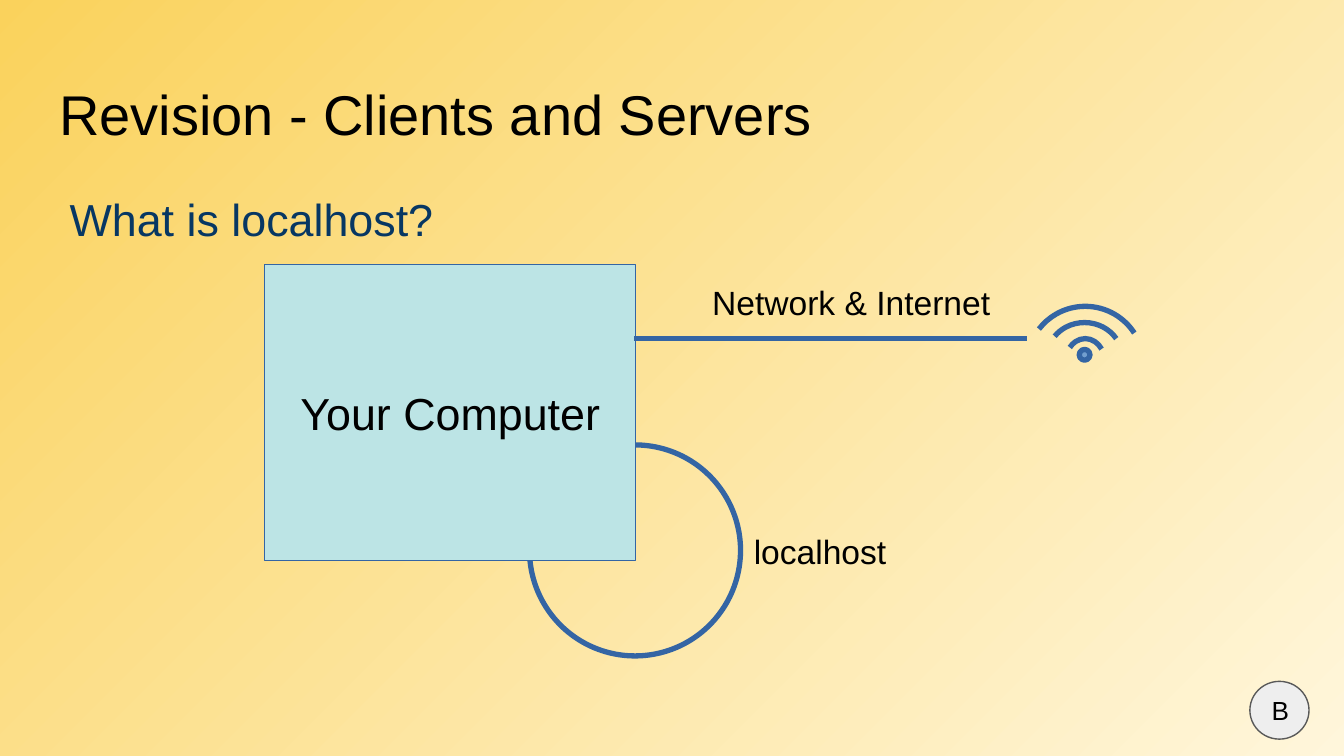
from lxml import etree
from pptx import Presentation
from pptx.dml.color import RGBColor
from pptx.enum.shapes import MSO_CONNECTOR, MSO_SHAPE
from pptx.enum.text import MSO_ANCHOR, PP_ALIGN
from pptx.oxml.ns import qn
from pptx.util import Inches, Pt

ARC, OVAL, RECT = MSO_SHAPE.ARC, MSO_SHAPE.OVAL, MSO_SHAPE.RECTANGLE
STRAIGHT = MSO_CONNECTOR.STRAIGHT
TOP, MIDDLE = MSO_ANCHOR.TOP, MSO_ANCHOR.MIDDLE
LEFT, CENTER = PP_ALIGN.LEFT, PP_ALIGN.CENTER

FONT = "Arial"
BLUE, NAVY, BLACK = "3465A4", "073763", "000000"
THICK, THIN = 2.83, 0.75


def color(code):
    return RGBColor.from_string(code)


def inches(box):
    return [Inches(value) for value in box]


def set_line(item, code, width):
    item.line.color.rgb = color(code)
    item.line.width = Pt(width)


def set_text(shape, text, size, code=BLACK, align=LEFT, anchor=TOP, pad=0.05):
    """Fill the frame; pad is the inset above and below, in inches."""
    frame = shape.text_frame
    frame.text = text
    frame.word_wrap = True
    frame.vertical_anchor = anchor
    frame.margin_left = frame.margin_right = Inches(0.1)
    frame.margin_top = frame.margin_bottom = Inches(pad)
    para = frame.paragraphs[0]
    para.alignment = align
    font = para.runs[0].font
    font.name, font.size = FONT, Pt(size)
    font.color.rgb = color(code)


def add_title(slide, box, text):
    title = slide.shapes.title
    title.left, title.top, title.width, title.height = inches(box)
    set_text(title, text, 30, pad=0.1)


def add_label(slide, box, text, size=18, code=BLACK, pad=0.05):
    label = slide.shapes.add_textbox(*inches(box))
    set_text(label, text, size, code, pad=pad)


def add_shape(slide, kind, box, fill=None, line=BLUE, width=THICK):
    shape = slide.shapes.add_shape(kind, *inches(box))
    shape.shadow.inherit = False
    if fill:
        shape.fill.solid()
        shape.fill.fore_color.rgb = color(fill)
    else:
        shape.fill.background()
    set_line(shape, line, width)
    return shape


def add_arc(slide, box, start, end, turn=0):
    """Draw clockwise from start to end, in degrees from three o'clock."""
    arc = add_shape(slide, ARC, box)
    arc.rotation = turn
    for index, angle in enumerate((start, end)):
        arc.adjustments[index] = angle * 0.6


def add_line(slide, start, end):
    line = slide.shapes.add_connector(STRAIGHT, *inches(start + end))
    set_line(line, BLUE, THICK)
    etree.SubElement(line._element.spPr, qn("a:effectLst"))


def add_wifi(slide):
    waves = [
        ((7.64, 2.28, 0.87, 0.87), 217.68, 327.07),
        ((7.79, 2.40, 0.56, 0.52), 215.37, 329.23),
        ((7.93, 2.52, 0.29, 0.34), 222.16, 322.79),
    ]
    for box, start, end in waves:
        add_arc(slide, box, start, end)
    add_shape(slide, OVAL, (8.03, 2.6, 0.08, 0.08), "729FCF")


def set_back(slide):
    fill = slide.background.fill
    fill.gradient()
    fill.gradient_angle = 135
    for stop, code in zip(fill.gradient_stops, ("FFF6DB", "FAD25C")):
        stop.color.rgb = color(code)


def main():
    deck = Presentation()
    deck.slide_width = Inches(10)
    deck.slide_height = deck.slide_width * 9 // 16
    slide = deck.slides.add_slide(deck.slide_layouts[5])
    set_back(slide)
    add_title(slide, (0.34, 0.49, 9.32, 0.63), "Revision - Clients and Servers")

    # The computer covers the part of the loop that lies inside it
    add_arc(slide, (3.94, 3.31, 1.57, 1.57), 357.82, 269.02, 267.9)
    add_label(slide, (0.42, 1.33, 9.32, 3.74), "What is localhost?", 24, NAVY, 0.1)
    badge = add_shape(slide, OVAL, (9.3, 5.07, 0.44, 0.43), "EEEEEE", "595959", THIN)
    set_text(badge, "B", 14, anchor=MIDDLE, pad=0.1)
    host = add_shape(slide, RECT, (1.97, 1.97, 2.76, 2.2), "BCE4E5", width=THIN)
    set_text(host, "Your Computer", 24, align=CENTER, anchor=MIDDLE)

    add_line(slide, (4.72, 2.52), (7.64, 2.52))
    add_wifi(slide)
    add_label(slide, (5.2, 2.05, 2.28, 0.39), "Network & Internet")
    add_label(slide, (5.51, 3.9, 2.28, 0.39), "localhost")
    deck.save("out.pptx")


if __name__ == "__main__":
    main()
